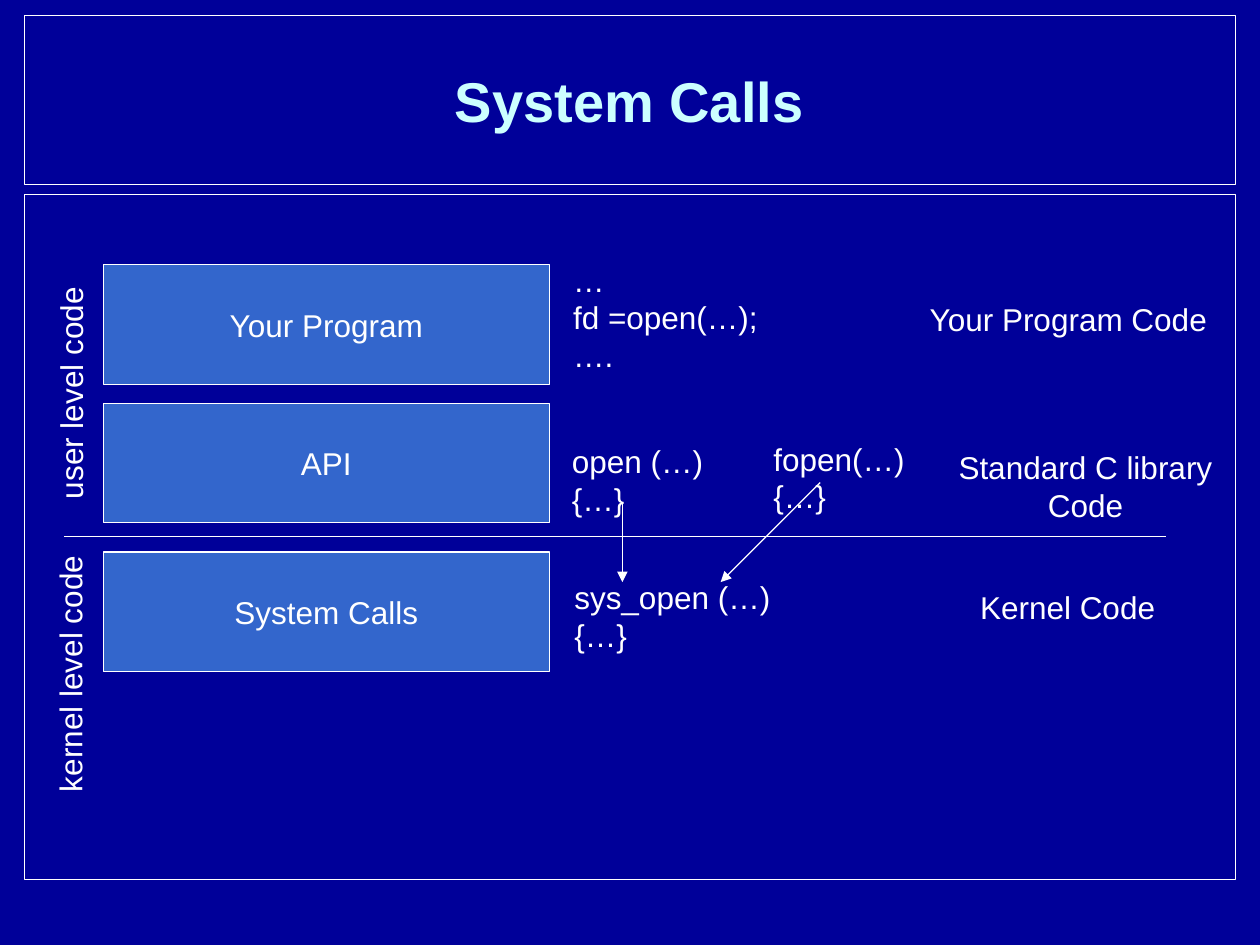
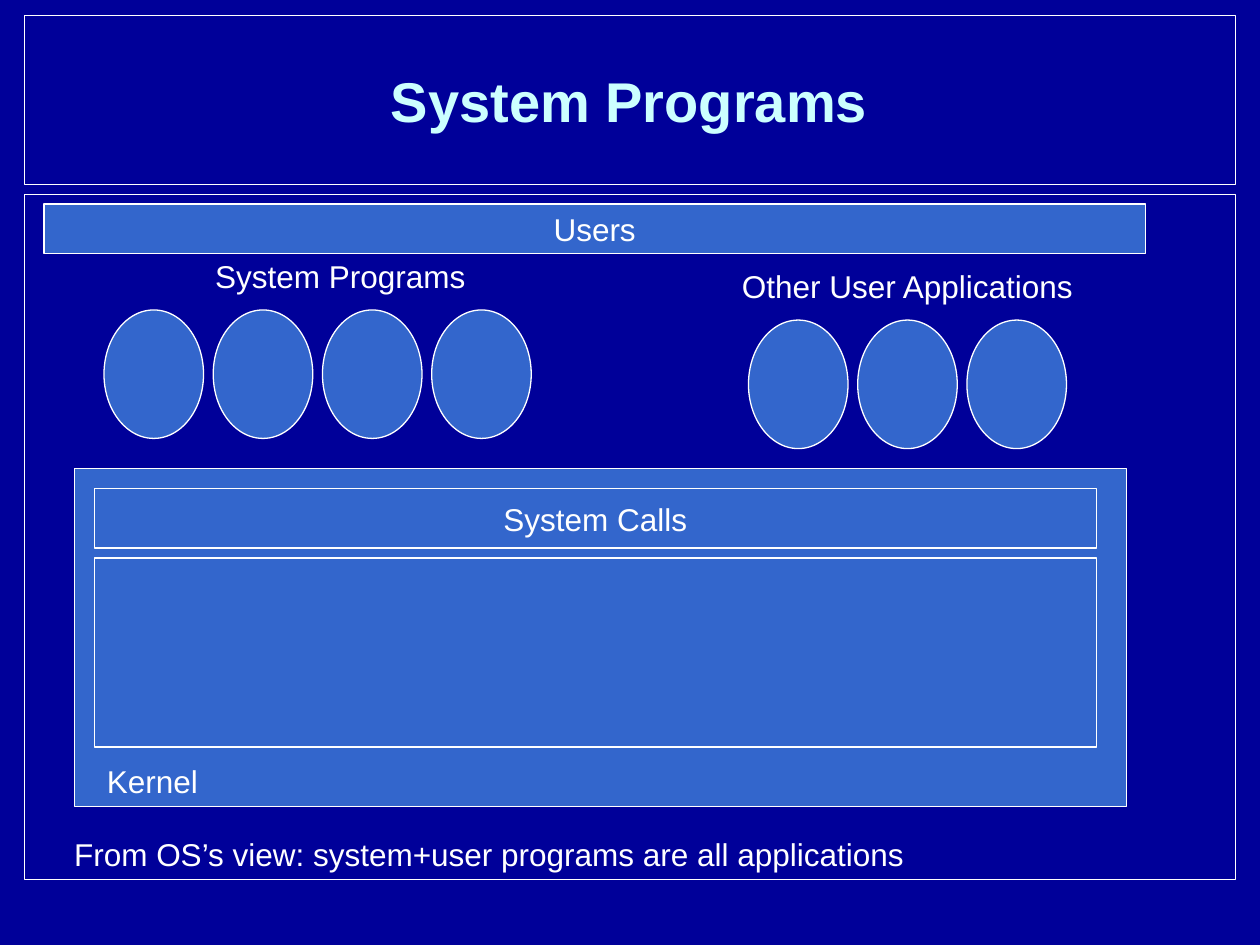
from lxml.etree import SubElement
from pptx import Presentation
from pptx.dml.color import RGBColor
from pptx.enum.shapes import MSO_CONNECTOR, MSO_SHAPE
from pptx.enum.text import MSO_ANCHOR, PP_ALIGN
from pptx.oxml.ns import qn
from pptx.util import Inches, Pt

NAVY = RGBColor(0x00, 0x00, 0x99)
BLUE = RGBColor(0x33, 0x66, 0xCC)
WHITE = RGBColor(0xFF, 0xFF, 0xFF)
PALE_CYAN = RGBColor(0xCC, 0xFF, 0xFF)

FONT = "Arial"
SLIDE_WIDTH, SLIDE_HEIGHT = Inches(10), Inches(7.5)
COLUMNS, ROWS = 100, 75
LINE_WIDTH = Pt(0.75)
LINE_HEIGHT = 3
FRAMES = [(1.95, 1.25, 96.1, 13.4), (1.95, 15.45, 96.1, 54.35)]


def across(columns):
    return round(SLIDE_WIDTH * columns / COLUMNS)


def down(rows):
    return round(SLIDE_HEIGHT * rows / ROWS)


def place(left, top, width, height):
    return across(left), down(top), across(width), down(height)


def style_paragraphs(text_frame, align, size=18, color=WHITE, bold=False):
    for paragraph in text_frame.paragraphs:
        paragraph.alignment = align
        paragraph.font.name = FONT
        paragraph.font.size = Pt(size)
        paragraph.font.color.rgb = color
        paragraph.font.bold = bold


def add_box(slide, position, text="", kind=MSO_SHAPE.RECTANGLE, fill=BLUE):
    shape = slide.shapes.add_shape(kind, *place(*position))
    shape.shadow.inherit = False
    if fill is None:
        shape.fill.background()
    else:
        shape.fill.solid()
        shape.fill.fore_color.rgb = fill
    shape.line.color.rgb = WHITE
    shape.line.width = LINE_WIDTH
    if text:
        text_frame = shape.text_frame
        text_frame.text = text
        text_frame.word_wrap = False
        text_frame.vertical_anchor = MSO_ANCHOR.MIDDLE
        style_paragraphs(text_frame, PP_ALIGN.CENTER)


def add_label(slide, text, left, top, width, align=PP_ALIGN.LEFT, rotation=0):
    line_count = 1 + text.count("\n") + text.count("\v")
    height = 1 + LINE_HEIGHT * line_count
    label = slide.shapes.add_textbox(*place(left, top, width, height))
    label.rotation = rotation
    text_frame = label.text_frame
    text_frame.text = text
    text_frame.word_wrap = True
    style_paragraphs(text_frame, align)


def add_line(slide, start, end, arrow=False):
    connector = slide.shapes.add_connector(
        MSO_CONNECTOR.STRAIGHT,
        across(start[0]), down(start[1]), across(end[0]), down(end[1]))
    connector.line.color.rgb = WHITE
    connector.line.width = LINE_WIDTH
    if arrow:
        SubElement(connector.line._get_or_add_ln(), qn("a:tailEnd"), type="triangle")
    SubElement(connector._element.spPr, qn("a:effectLst"))


def add_ellipse_row(slide, count, left, top):
    for index in range(count):
        add_box(slide, (left + 8.67 * index, top, 7.9, 10.2), kind=MSO_SHAPE.OVAL)


def add_titled_slide(presentation, text):
    slide = presentation.slides.add_slide(presentation.slide_layouts[5])
    for frame in FRAMES:
        add_box(slide, frame, fill=None)
    title = slide.shapes.title
    title.left, title.top, title.width, title.height = place(3.5, 1.7, 92.9, 12.5)
    text_frame = title.text_frame
    text_frame.text = text
    text_frame.vertical_anchor = MSO_ANCHOR.MIDDLE
    style_paragraphs(text_frame, PP_ALIGN.CENTER, size=32, color=PALE_CYAN, bold=True)
    return slide


def build_system_calls(presentation):
    slide = add_titled_slide(presentation, "System Calls")
    for layer, top in [("Your Program", 21), ("API", 32), ("System Calls", 43.8)]:
        add_box(slide, (8.2, top, 35.4, 9.5), layer)

    add_label(slide, "…\nfd =open(…);\n….", 44.5, 20.2, 18)
    add_label(slide, "open (…)\v{…}", 44.4, 34.6, 14)
    add_label(slide, "fopen(…)\n{…}", 60.4, 34.4, 14)
    add_label(slide, "sys_open (…)\n{…}", 44.6, 45.4, 19)

    add_label(slide, "Your Program Code", 72.8, 23.3, 25.2)
    add_label(slide, "Standard C library\vCode", 74.6, 35.1, 23.1, PP_ALIGN.CENTER)
    add_label(slide, "Kernel Code", 76.8, 46.2, 17)

    add_label(slide, "user level code", -4.3, 28.7, 19.8, rotation=270)
    add_label(slide, "kernel level code", -5.3, 51, 21.7, rotation=270)

    add_line(slide, (5.1, 42.6), (92.5, 42.6))
    add_line(slide, (49.4, 39.9), (49.4, 46.2), arrow=True)
    add_line(slide, (65.1, 38.3), (57.2, 46.2), arrow=True)


def build_system_programs(presentation):
    slide = add_titled_slide(presentation, "System Programs")
    add_box(slide, (3.5, 16.2, 87.4, 3.9), "Users")

    add_label(slide, "System Programs", 16.1, 19.9, 23)
    add_ellipse_row(slide, 4, 8.25, 24.6)
    add_label(slide, "Other User Applications", 57.9, 20.7, 30)
    add_ellipse_row(slide, 3, 59.4, 25.4)

    add_box(slide, (5.9, 37.2, 83.5, 26.8))
    add_box(slide, (7.5, 38.8, 79.5, 4.7), "System Calls")
    add_box(slide, (7.5, 44.3, 79.5, 15))
    add_label(slide, "Kernel", 7.5, 60, 10.5)
    add_label(slide, "From OS’s view: system+user programs are all applications",
              4.9, 65.8, 70)


def main():
    presentation = Presentation()
    presentation.slide_width = SLIDE_WIDTH
    presentation.slide_height = SLIDE_HEIGHT
    background = presentation.slide_master.background.fill
    background.solid()
    background.fore_color.rgb = NAVY
    build_system_calls(presentation)
    build_system_programs(presentation)
    presentation.save("out.pptx")


if __name__ == "__main__":
    main()
